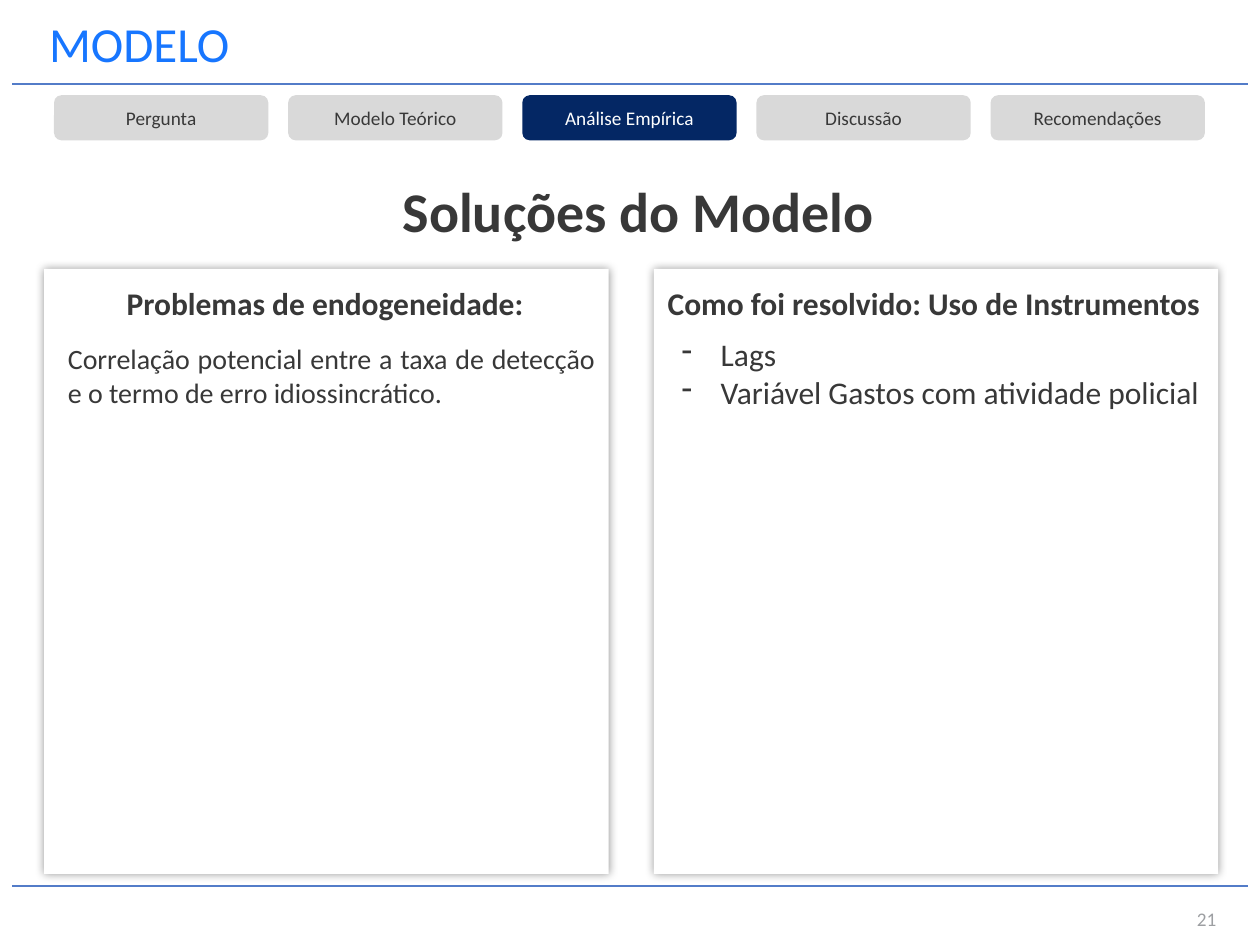
import dataclasses

import pptx
import pptx.dml.color
import pptx.enum.shapes
import pptx.enum.text
import pptx.oxml
import pptx.oxml.ns
import pptx.util

Cm = pptx.util.Cm
Pt = pptx.util.Pt
ALIGN = pptx.enum.text.PP_ALIGN
ANCHOR = pptx.enum.text.MSO_ANCHOR
SHAPE = pptx.enum.shapes.MSO_SHAPE
FONT = "Calibri"
HUES = {
    "ink": "383838",
    "title": "1776FF",
    "rule": "537CC8",
    "tab": "D9D9D9",
    "active": "042764",
    "white": "FFFFFF",
    "number": "9D9FA2",
    "shadow": "000000",
}


@dataclasses.dataclass
class Box:
    left: float
    top: float
    width: float
    height: float

    def place(self) -> tuple:
        return Cm(self.left), Cm(self.top), Cm(self.width), Cm(self.height)


@dataclasses.dataclass
class Tab:
    label: str
    active: bool = False


TABS = [
    Tab("Pergunta"),
    Tab("Modelo Teórico"),
    Tab("Análise Empírica", True),
    Tab("Discussão"),
    Tab("Recomendações"),
]


def color(name: str) -> pptx.dml.color.RGBColor:
    return pptx.dml.color.RGBColor.from_string(HUES[name])


def element(tag: str, body: str = "", attrs: str = ""):
    space = pptx.oxml.ns.nsdecls("a")
    return pptx.oxml.parse_xml(f"<a:{tag} {space} {attrs}>{body}</a:{tag}>")


def write(shape, text: str, *, size: float, hue: str = "ink", bold: bool = False,
          align=ALIGN.LEFT, anchor=ANCHOR.TOP, dash: bool = False, line: float = 1) -> None:
    frame = shape.text_frame
    frame.word_wrap = True
    frame.vertical_anchor = anchor
    frame.text = text
    for para in frame.paragraphs:
        para.alignment = align
        para.line_spacing = line
        if dash:
            props = para._p.get_or_add_pPr()
            props.set("marL", str(Cm(0.79)))
            props.set("indent", str(-Cm(0.79)))
            props.append(element("buChar", attrs='char="-"'))
        for run in para.runs:
            run.font.name = FONT
            run.font.size = Pt(size)
            run.font.bold = bold
            run.font.color.rgb = color(hue)


def label(slide, box: Box, text: str, **style) -> None:
    write(slide.shapes.add_textbox(*box.place()), text, **style)


def block(slide, kind, box: Box, hue: str):
    shape = slide.shapes.add_shape(kind, *box.place())
    shape.shadow.inherit = False
    shape.fill.solid()
    shape.fill.fore_color.rgb = color(hue)
    shape.line.fill.background()
    return shape


def panel(slide, box: Box) -> None:
    shape = block(slide, SHAPE.RECTANGLE, box, "white")
    effects = shape._element.spPr.find(pptx.oxml.ns.qn("a:effectLst"))
    tint = f'<a:srgbClr val="{HUES["shadow"]}"><a:alpha val="40000"/></a:srgbClr>'
    attrs = f'blurRad="{Pt(5)}" dist="0" dir="0" algn="ctr" rotWithShape="0"'
    effects.append(element("outerShdw", tint, attrs))


def rule(slide, top: float) -> None:
    line = slide.shapes.add_connector(
        pptx.enum.shapes.MSO_CONNECTOR.STRAIGHT, Cm(0.25), Cm(top), Cm(25.15), Cm(top))
    line.line.color.rgb = color("rule")
    line.line.width = Pt(1)
    line._element.spPr.append(element("effectLst"))


def menu(slide, tabs: list[Tab]) -> None:
    for spot, tab in enumerate(tabs):
        box = Box(1.09 + spot * 4.72, 1.92, 4.32, 0.91)
        shape = block(slide, SHAPE.ROUNDED_RECTANGLE, box, "active" if tab.active else "tab")
        write(shape, tab.label, size=11, hue="white" if tab.active else "ink",
              align=ALIGN.CENTER, anchor=ANCHOR.MIDDLE)


def main() -> None:
    deck = pptx.Presentation()
    deck.slide_width, deck.slide_height = Cm(25.4), Cm(19.05)
    slide = deck.slides.add_slide(deck.slide_layouts[6])

    for top in (17.86, 1.69):
        rule(slide, top)
    menu(slide, TABS)
    for left in (0.89, 13.18):
        panel(slide, Box(left, 5.42, 11.38, 12.2))

    label(slide, Box(0.74, -0.03, 19.56, 1.93), "MODELO",
          size=28, hue="title", anchor=ANCHOR.MIDDLE, line=0.9)
    label(slide, Box(7.87, 3.43, 10.06, 1.63), "Soluções do Modelo", size=32, bold=True)
    label(slide, Box(0.89, 5.61, 11.33, 1.03), "Problemas de endogeneidade:",
          size=18, bold=True, align=ALIGN.CENTER)
    label(slide, Box(1.12, 6.76, 11.13, 1.63),
          "Correlação potencial entre a taxa de detecção e o termo de erro idiossincrático.",
          size=16, align=ALIGN.JUSTIFY)
    label(slide, Box(13.21, 5.61, 12.19, 1.03), "Como foi resolvido: Uso de Instrumentos",
          size=18, bold=True)
    label(slide, Box(13.49, 6.63, 11.9, 1.8), "Lags\nVariável Gastos com atividade policial",
          size=18, dash=True)
    label(slide, Box(19.05, 18.01, 5.72, 1.02), "21",
          size=11, hue="number", align=ALIGN.RIGHT, anchor=ANCHOR.MIDDLE)
    deck.save("out.pptx")


if __name__ == "__main__":
    main()
